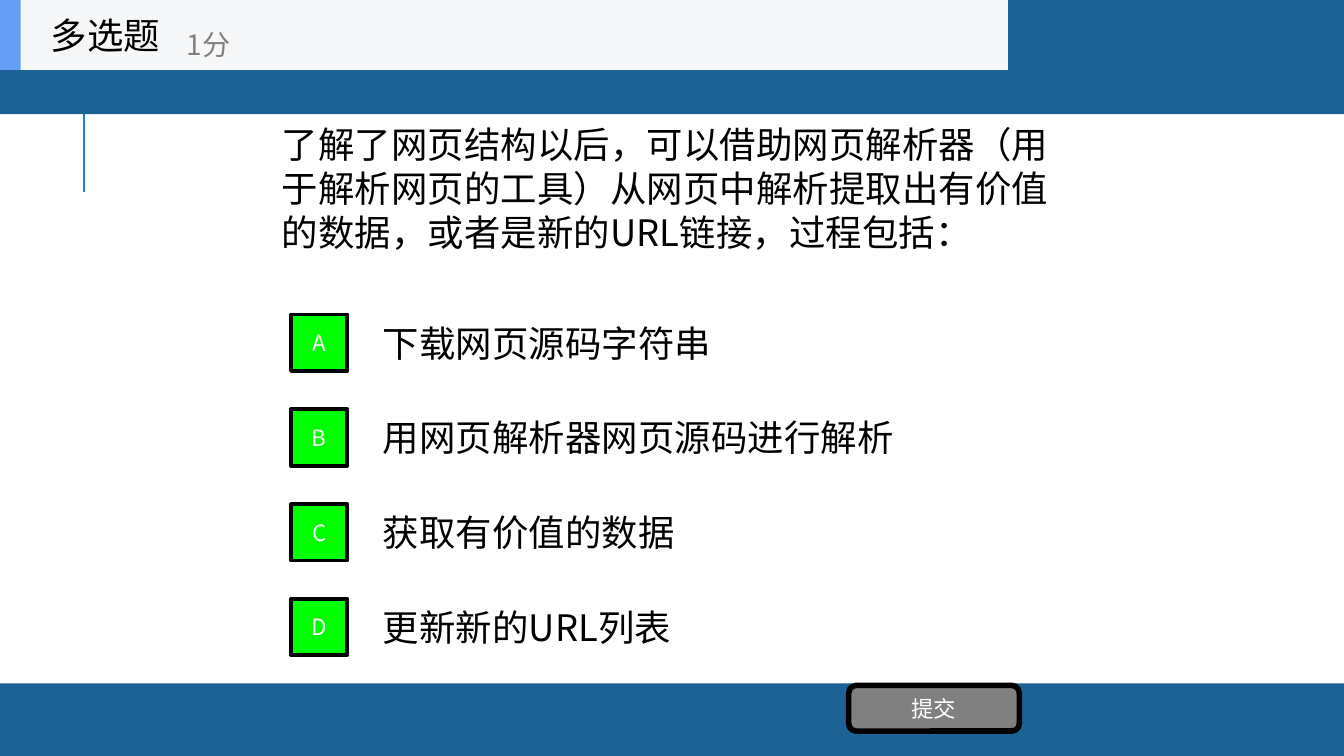
"""Build a multiple-choice question slide."""
from pptx import Presentation
from pptx.dml.color import RGBColor
from pptx.enum.shapes import MSO_CONNECTOR, MSO_SHAPE
from pptx.enum.text import MSO_ANCHOR, PP_ALIGN
from pptx.oxml.ns import qn
from pptx.util import Pt
from lxml import etree

PX = 4572
FONT = "Noto Sans CJK SC"
RECT = MSO_SHAPE.RECTANGLE
ROUNDED = MSO_SHAPE.ROUNDED_RECTANGLE
STRAIGHT = MSO_CONNECTOR.STRAIGHT
MIDDLE = MSO_ANCHOR.MIDDLE
LEFT = PP_ALIGN.LEFT
CENTER = PP_ALIGN.CENTER

BLACK = RGBColor(0x00, 0x00, 0x00)
WHITE = RGBColor(0xFF, 0xFF, 0xFF)
GRAY = RGBColor(0x80, 0x80, 0x80)
GREEN = RGBColor(0x00, 0xFF, 0x00)
BAND_BLUE = RGBColor(0x1D, 0x62, 0x94)
RULE_BLUE = RGBColor(0x26, 0x83, 0xC6)
ACCENT_BLUE = RGBColor(0x63, 0x9E, 0xF4)
HEADER_GRAY = RGBColor(0xF6, 0xF7, 0xF8)

QUESTION = "了解了网页结构以后，可以借助网页解析器（用于解析网页的工具）从网页中解析提取出有价值的数据，或者是新的URL链接，过程包括："
OPTIONS = {
    "A": "下载网页源码字符串",
    "B": "用网页解析器网页源码进行解析",
    "C": "获取有价值的数据",
    "D": "更新新的URL列表",
}
OPTION_TOP = 457
OPTION_PITCH = 141


def emu(*lengths):
    return [length * PX for length in lengths]


def write(box, text, size=19.5, color=BLACK, align=LEFT, wrap=True):
    frame = box.text_frame
    frame.word_wrap = wrap
    frame.vertical_anchor = MIDDLE
    para = frame.paragraphs[0]
    para.alignment = align
    span = para.add_run()
    span.text = text
    span.font.size = Pt(size)
    span.font.color.rgb = color
    span.font.name = FONT
    properties = span.font._element
    etree.SubElement(properties, qn("a:ea")).set("typeface", FONT)


class QuizPage:
    """Holds the current slide and draws its elements in one style."""

    def __init__(self, page):
        self.page = page
        self.shapes = page.shapes

    def start_group(self):
        self.shapes = self.page.shapes.add_group_shape().shapes

    def text(self, text, *place, **style):
        write(self.shapes.add_textbox(*emu(*place)), text, **style)

    def block(self, fill, *place, kind=RECT, border=0, label=None):
        shape = self.shapes.add_shape(kind, *emu(*place))
        shape.shadow.inherit = False
        shape.fill.solid()
        shape.fill.fore_color.rgb = fill
        if border:
            shape.line.color.rgb = BLACK
            shape.line.width = Pt(border)
        else:
            shape.line.fill.background()
        if label:
            write(shape, label, size=12, color=WHITE, align=CENTER)

    def rule(self, *ends):
        line = self.shapes.add_connector(STRAIGHT, *emu(*ends))
        line.line.color.rgb = RULE_BLUE
        line.line.width = Pt(1.5)
        etree.SubElement(line._element.spPr, qn("a:effectLst"))


def main():
    deck = Presentation()
    deck.slide_width, deck.slide_height = emu(2000, 1125)
    quiz = QuizPage(deck.slides.add_slide(deck.slide_layouts[6]))

    quiz.rule(125, 286, 125, 136)
    quiz.block(BAND_BLUE, 0, 1017, 2000, 108)
    quiz.block(BAND_BLUE, 0, -6, 2000, 176)

    quiz.text(QUESTION, 400, 104, 1200, 352)
    for row, (letter, answer) in enumerate(OPTIONS.items()):
        top = OPTION_TOP + row * OPTION_PITCH
        quiz.text(answer, 550, top, 1050, 106)
        quiz.block(GREEN, 433, top + 11, 84, 84, border=2, label=letter)
    quiz.block(GRAY, 1263, 1020, 254, 68, kind=ROUNDED, border=3, label="提交")

    quiz.start_group()
    quiz.block(HEADER_GRAY, 0, 0, 1500, 104)
    quiz.block(ACCENT_BLUE, 0, 0, 31, 104)
    quiz.text("多选题", 56, 0, 312, 104, wrap=False)
    quiz.text("1分", 258, 24, 376, 84, size=15, color=GRAY, wrap=False)

    deck.save("out.pptx")


if __name__ == "__main__":
    main()
